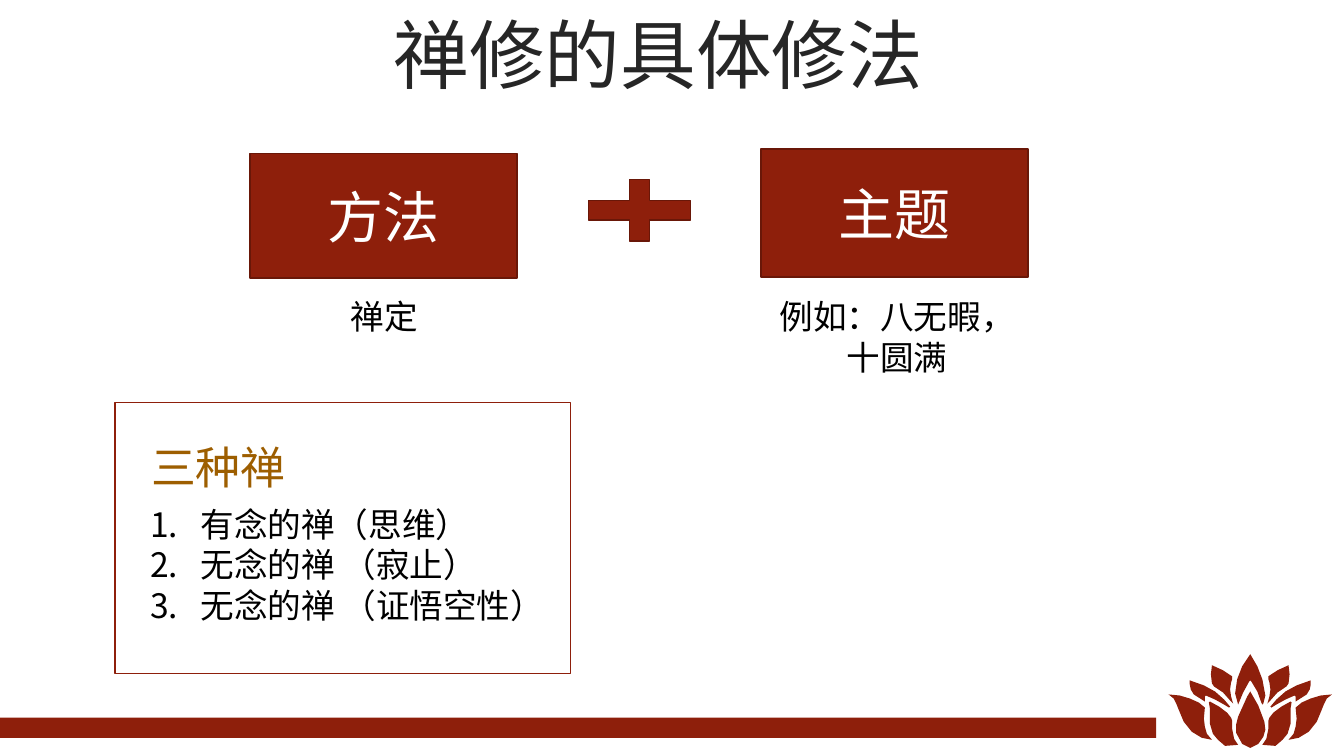
from lxml.etree import SubElement
from pptx import Presentation
from pptx.dml.color import RGBColor
from pptx.enum.shapes import MSO_SHAPE
from pptx.enum.text import MSO_ANCHOR, PP_ALIGN
from pptx.oxml.ns import qn
from pptx.util import Inches, Pt

COLORS = {"red": "8E1F0B", "edge": "691708", "title": "262626",
          "white": "FFFFFF", "black": "000000", "gold": "9D5E00"}
WIDTH, HEIGHT = 13.33, 7.5

# Places are left, top, width, height in percent of the slide
FOOTER_BAR = (0, 94.93, 86.03, 2.67)
PLUS = (42.45, 22.27, 10.27, 11.07)
FRAME = (8.55, 53.2, 33.9, 35.87)
BLOCKS = [("方法", (18.6, 20.27, 19.87, 16.53)),
          ("主题", (56.63, 19.73, 19.87, 16.93))]
TITLE = ("禅修的具体修法", (1.5, 2.53, 94.95, 10.53))
CAPTIONS = [("禅定", (23.55, 38.53, 10.05, 6.67)),
            ("例如：八无暇，十圆满", (56.63, 38.53, 20.25, 12.13))]
KINDS = (["有念的禅（思维）", "无念的禅 （寂止）", "无念的禅 （证悟空性）"],
         (10.43, 66, 33.75, 17.47))
KINDS_HEADING = ("三种禅", (10.43, 57.47, 11.63, 8.53))

# Lotus petals: hundredths of an inch from the tip of the flower
LOTUS_TIP = (12.4, 6.49)
CENTRE_PETALS = [
    [(0, 0), (7, 12), (12, 25), (15, 41), (13, 49), (12, 50), (11, 48),
     (7, 37), (1, 27), (0, 26), (-1, 27), (-7, 38), (-12, 50), (-15, 39),
     (-13, 25), (-8, 12)],
    [(0, 37), (8, 51), (14, 67), (15, 75), (13, 82), (8, 89), (0, 93),
     (-8, 89), (-14, 78), (-14, 70), (-12, 62), (-3, 42)],
]
SIDE_PETALS = [
    [(40, 47), (41, 48), (40, 54), (40, 69), (37, 79), (32, 85), (25, 91),
     (12, 90), (16, 84), (18, 74), (18, 66), (19, 63), (23, 58), (31, 52)],
    [(81, 40), (76, 44), (73, 50), (71, 55), (66, 67), (58, 77), (48, 83),
     (38, 85), (43, 79), (45, 72), (46, 64), (45, 53), (51, 48), (60, 44),
     (70, 41)],
    [(60, 26), (60, 30), (59, 35), (56, 40), (45, 47), (45, 42), (44, 41),
     (35, 45), (26, 50), (21, 53), (20, 52), (26, 45), (35, 37), (46, 31)],
    [(38, 11), (39, 20), (38, 29), (36, 32), (27, 38), (19, 47), (17, 49),
     (19, 42), (20, 35), (19, 28), (18, 25), (18, 22), (27, 16)],
]


def place(share):
    left, top, width, height = (part / 100 for part in share)
    return [Inches(left * WIDTH), Inches(top * HEIGHT),
            Inches(width * WIDTH), Inches(height * HEIGHT)]


def paint(shape, fill=None, line=None):
    shape.shadow.inherit = False
    for color, target in ((fill, shape.fill), (line, shape.line.fill)):
        if color is None:
            target.background()
        else:
            target.solid()
            target.fore_color.rgb = RGBColor.from_string(COLORS[color])
    if line:
        shape.line.width = Pt(1)
    return shape


def add_box(page, kind, share, **look):
    return paint(page.shapes.add_shape(kind, *place(share)), **look)


def write(box, lines, size, color, align=PP_ALIGN.CENTER,
          anchor=MSO_ANCHOR.TOP, wrap=True, numbered=False, spacing=None):
    frame = box.text_frame
    frame.word_wrap, frame.vertical_anchor = wrap, anchor
    for index, line in enumerate(lines):
        para = frame.add_paragraph() if index else frame.paragraphs[0]
        for name, value in {"alignment": align, "line_spacing": spacing}.items():
            setattr(para, name, value)
        if numbered:
            layout = para._p.get_or_add_pPr()
            layout.set("marL", str(Inches(0.5)))
            layout.set("indent", str(-Inches(0.5)))
            SubElement(layout, qn("a:buFont"), typeface="Arial")
            SubElement(layout, qn("a:buAutoNum"), type="arabicPeriod")
        span = para.add_run()
        span.text = line
        for name, value in {"name": "Arial", "size": Pt(size)}.items():
            setattr(span.font, name, value)
        span.font.color.rgb = RGBColor.from_string(COLORS[color])


def add_text(page, lines, share, size, color, **layout):
    write(page.shapes.add_textbox(*place(share)), lines, size, color, **layout)


def add_lotus(page):
    mirrored = [[(-x, y) for x, y in petal] for petal in SIDE_PETALS]
    petals = CENTRE_PETALS + SIDE_PETALS + mirrored
    builder = page.shapes.build_freeform(*petals[0][0], scale=Inches(0.01))
    for index, petal in enumerate(petals):
        if index:
            builder.move_to(*petal[0])
        builder.add_line_segments(petal[1:], close=True)
    paint(builder.convert_to_shape(*map(Inches, LOTUS_TIP)), fill="red")


def main():
    deck = Presentation()
    deck.slide_width, deck.slide_height = Inches(WIDTH), Inches(HEIGHT)
    page = deck.slides.add_slide(deck.slide_layouts[6])

    # Footer decoration
    add_box(page, MSO_SHAPE.RECTANGLE, FOOTER_BAR, fill="red")
    add_lotus(page)

    # Title
    add_text(page, [TITLE[0]], TITLE[1], 54, "title",
             anchor=MSO_ANCHOR.MIDDLE, spacing=0.9)

    # Method plus topic
    for label, share in BLOCKS:
        block = add_box(page, MSO_SHAPE.RECTANGLE, share, fill="red", line="edge")
        write(block, [label], 40, "white", anchor=MSO_ANCHOR.MIDDLE)
    add_box(page, MSO_SHAPE.MATH_PLUS, PLUS, fill="red", line="edge")
    for caption, share in CAPTIONS:
        add_text(page, [caption], share, 24, "black")

    # Three kinds of meditation
    add_text(page, *KINDS, 24, "black", align=PP_ALIGN.LEFT, numbered=True)
    add_text(page, [KINDS_HEADING[0]], KINDS_HEADING[1], 32, "gold", wrap=False)
    add_box(page, MSO_SHAPE.RECTANGLE, FRAME, line="red")

    deck.save("out.pptx")


if __name__ == "__main__":
    main()
